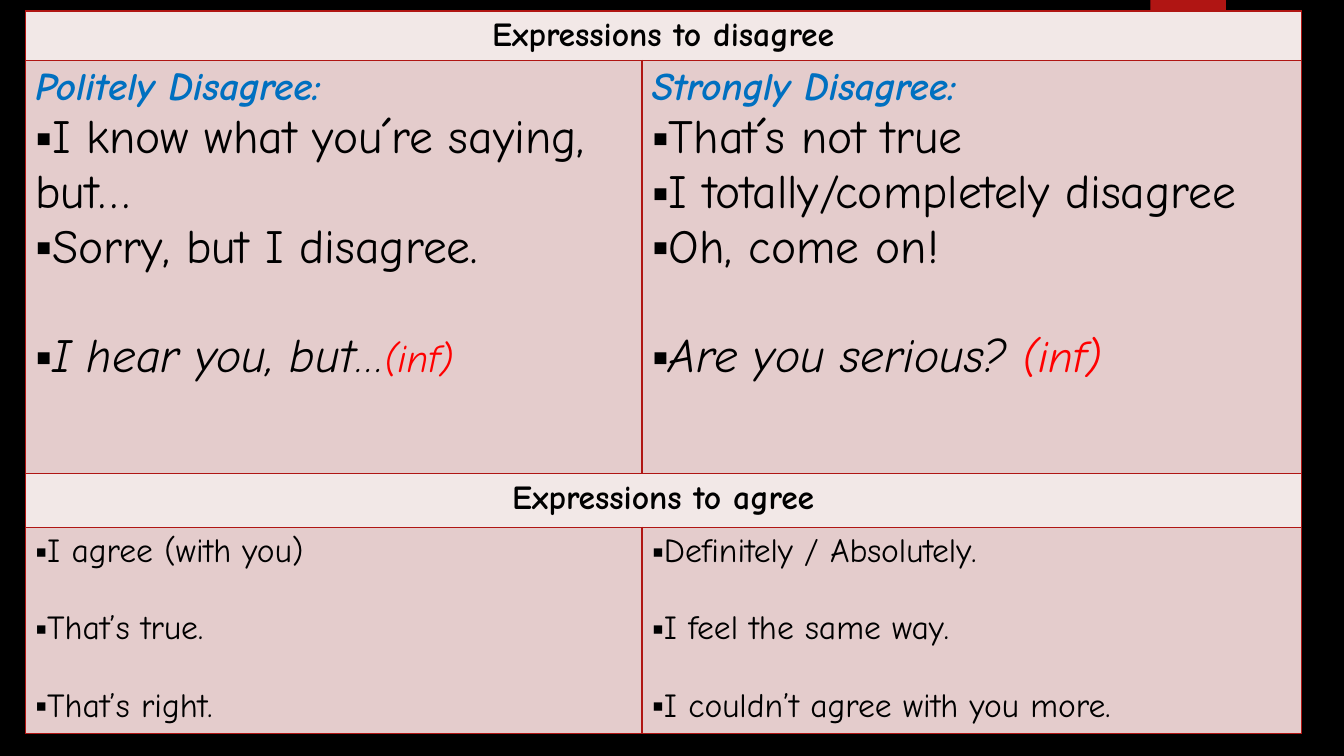
from lxml.etree import SubElement
from pptx import Presentation
from pptx.dml.color import RGBColor
from pptx.enum.shapes import MSO_SHAPE as Shape
from pptx.enum.text import PP_ALIGN as Align
from pptx.oxml.ns import qn
from pptx.util import Pt

# Content: a phrase is (list of (text, size, style), space before)
FONT = "Comic Neue"
COLORS = {"back": "000000", "red": "B01513", "title": "F2E8E7", "body": "E4CCCC",
          "text": "000000", "heading": "0070C0", "informal": "FF0000"}
BIG, SMALL = 34, 24
BIG_GAP, SMALL_GAP = 39, 27.6  # one empty line at each size

POLITE = [([("I know what you´re saying, but…", BIG, "")], 0),
          ([("Sorry, but I disagree.", BIG, "")], 0),
          ([("I hear you, but", BIG, "italic"), ("…", 28, "italic"),
            ("(inf)", 28, "informal")], BIG_GAP)]
STRONG = [([("That´s not true", BIG, "")], 0),
          ([("I totally/completely disagree", BIG, "")], 0),
          ([("Oh, come on!", BIG, "")], 0),
          ([("Are you serious? ", BIG, "italic"), ("(inf)", 32, "informal")], BIG_GAP)]
AGREE = ["I agree (with you)", "That’s true.", "That’s right."]
AGREE_MORE = ["Definitely / Absolutely.", "I feel the same way.",
              "I couldn’t agree with you more."]

TITLES = {0: "Expressions to disagree", 2: "Expressions to agree"}
HEADINGS = ["Politely Disagree:", "Strongly Disagree:"]

# Layout in points
LEFT, TOP = 18, 7.9
COLUMNS = [440.6, 470.9]
ROWS = [35.3, 295.2, 38.2, 147.6]


def rgb(name):
    return RGBColor.from_string(COLORS[name])


def style_run(run, size, style):
    font = run.font
    font.name, font.size = FONT, Pt(size)
    font.bold = style in ("title", "heading")
    font.italic = style in ("heading", "italic", "informal")
    font.color.rgb = rgb(style if style in ("heading", "informal") else "text")


def add_bullet(paragraph):
    props = paragraph._p.get_or_add_pPr()
    props.set("marL", "0")
    props.set("indent", "0")
    SubElement(props, qn("a:buFont"), typeface="Arial")
    SubElement(props, qn("a:buChar"), char="▪")


def style_cell(cell, fill):
    props = cell._tc.get_or_add_tcPr()
    for side in ("lnL", "lnR", "lnT", "lnB"):
        line = SubElement(props, qn(f"a:{side}"), w=str(Pt(1)))
        paint = SubElement(line, qn("a:solidFill"))
        SubElement(paint, qn("a:srgbClr"), val=COLORS["red"])
    cell.fill.solid()
    cell.fill.fore_color.rgb = rgb(fill)


def fill_heading(cell, text, size, style, align):
    heading = cell.text_frame.paragraphs[0]
    heading.text = text
    heading.alignment = align
    style_run(heading.runs[0], size, style)


def fill_phrases(cell, phrases, has_heading):
    frame = cell.text_frame
    for index, (parts, gap) in enumerate(phrases):
        fresh = has_heading or index > 0
        phrase = frame.add_paragraph() if fresh else frame.paragraphs[0]
        if gap:
            phrase.space_before = Pt(gap)
        add_bullet(phrase)
        for text, size, style in parts:
            run = phrase.add_run()
            run.text = text
            style_run(run, size, style)


def spaced(lines):
    return [([(line, SMALL, "")], SMALL_GAP if index else 0)
            for index, line in enumerate(lines)]


deck = Presentation()
deck.slide_width, deck.slide_height = Pt(960), Pt(540)
slide = deck.slides.add_slide(deck.slide_layouts[6])
slide.background.fill.solid()
slide.background.fill.fore_color.rgb = rgb("back")

# Red tab at the top edge
tab = slide.shapes.add_shape(Shape.RECTANGLE, Pt(821.7), Pt(0), Pt(54), Pt(90))
tab.shadow.inherit = False
tab.fill.solid()
tab.fill.fore_color.rgb = rgb("red")
tab.line.fill.background()

# Table grid
table = slide.shapes.add_table(len(ROWS), len(COLUMNS), Pt(LEFT), Pt(TOP),
                               Pt(sum(COLUMNS)), Pt(sum(ROWS))).table
table.horz_banding = False
for column, width in zip(table.columns, COLUMNS):
    column.width = Pt(width)
for row_index, (row, height) in enumerate(zip(table.rows, ROWS)):
    row.height = Pt(height)
    for cell in row.cells:
        style_cell(cell, "title" if row_index in TITLES else "body")

# Title rows
for row_index, title in TITLES.items():
    title_cell = table.cell(row_index, 0)
    title_cell.merge(table.cell(row_index, 1))
    fill_heading(title_cell, title, SMALL, "title", Align.CENTER)

# Phrases to disagree and to agree
for col, (heading, phrases) in enumerate(zip(HEADINGS, (POLITE, STRONG))):
    fill_heading(table.cell(1, col), heading, 28, "heading", Align.LEFT)
    fill_phrases(table.cell(1, col), phrases, True)
for col, lines in enumerate((AGREE, AGREE_MORE)):
    fill_phrases(table.cell(3, col), spaced(lines), False)

deck.save("out.pptx")
